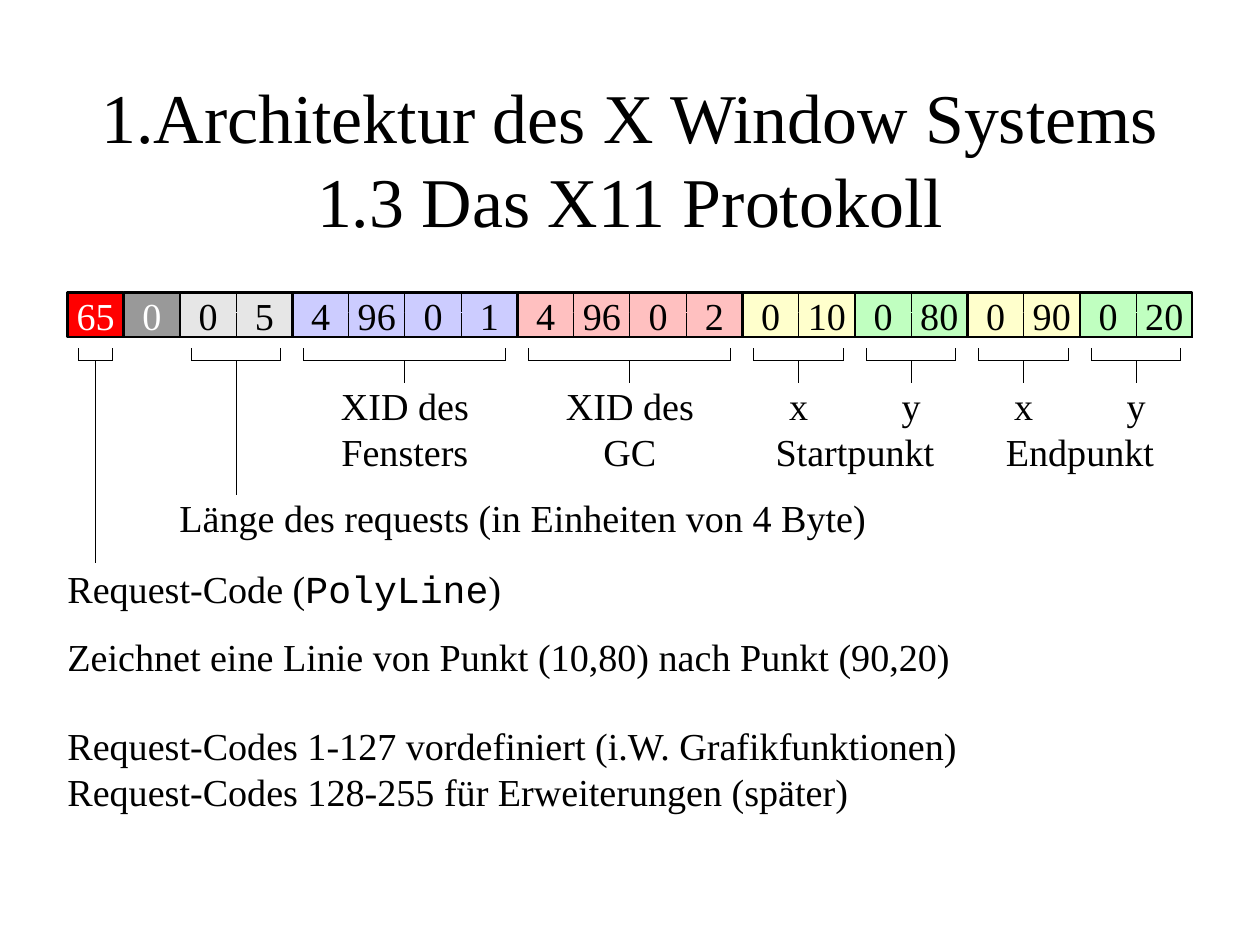
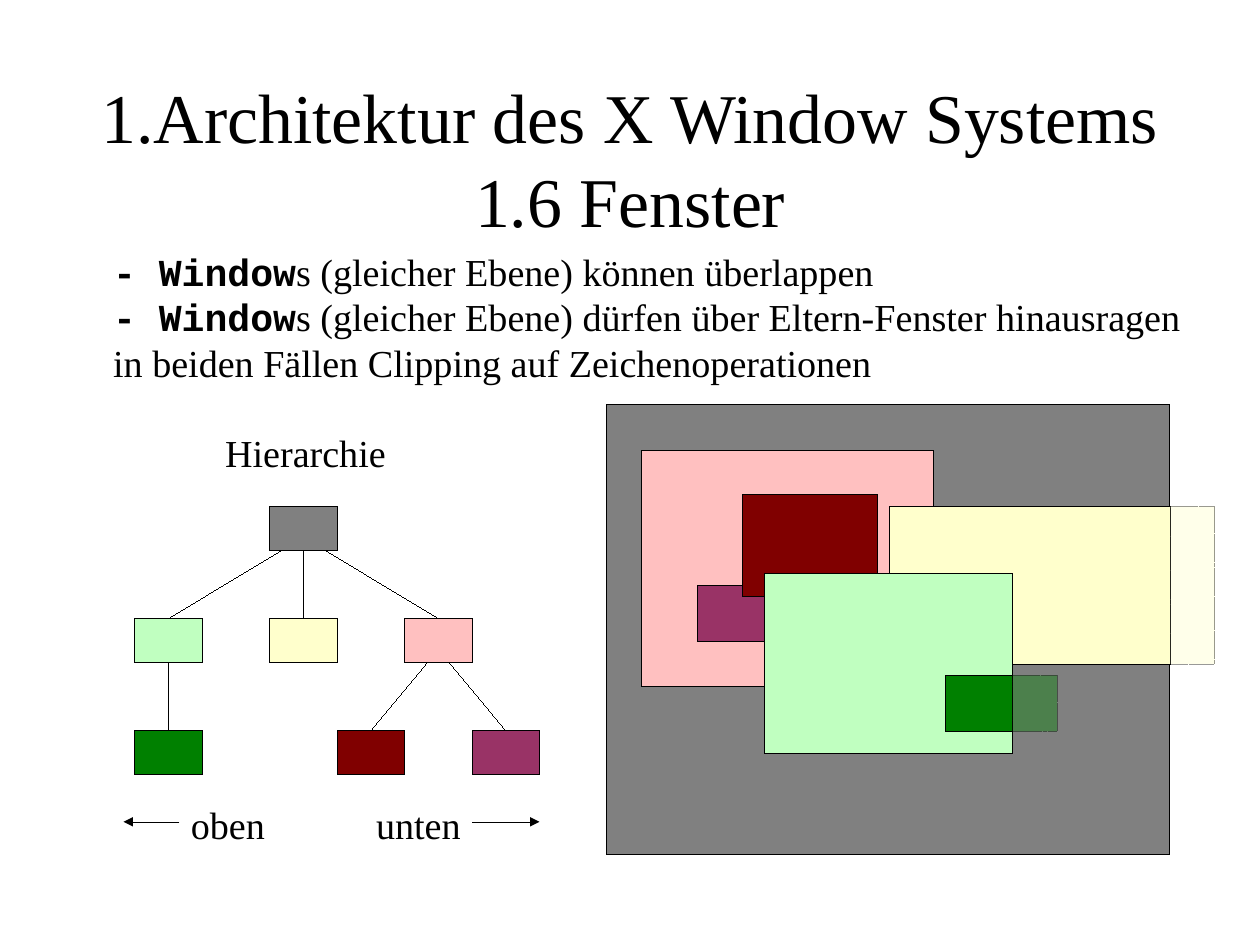
from lxml import etree
from pptx import Presentation
from pptx import util as u
from pptx.dml.color import RGBColor
from pptx.enum import dml, shapes, text
from pptx.oxml.ns import qn

BLACK = RGBColor(0x00, 0x00, 0x00)
WHITE = RGBColor(0xFF, 0xFF, 0xFF)
RED = RGBColor(0xFF, 0x00, 0x00)
MID_GREY = RGBColor(0x99, 0x99, 0x99)
PALE_GREY = RGBColor(0xE6, 0xE6, 0xE6)
LILAC = RGBColor(0xCC, 0xCC, 0xFF)
PINK = RGBColor(0xFF, 0xC0, 0xC0)
CREAM = RGBColor(0xFF, 0xFF, 0xCC)
MINT = RGBColor(0xC0, 0xFF, 0xC0)
GREY = RGBColor(0x80, 0x80, 0x80)
PLUM = RGBColor(0x99, 0x33, 0x66)
MAROON = RGBColor(0x80, 0x00, 0x00)
GREEN = RGBColor(0x00, 0x80, 0x00)

SERIF = {"name": "Times New Roman", "size": u.Pt(24), "bold": False}
MONO = {**SERIF, "name": "Courier New"}
MONO_BOLD = {**MONO, "bold": True}
TITLE = {**SERIF, "size": u.Pt(44)}
CENTER, LEFT = text.PP_ALIGN.CENTER, text.PP_ALIGN.LEFT
PAGE_W, PAGE_H = 28 / 2.54, 21 / 2.54  # 28 by 21 centimetres
CHAPTER = "1.Architektur des X Window Systems"

# Slide 1: request fields as (bytes, fill, text colour, label, stem end)
FIELDS = [
    ([65], RED, WHITE, "", 4.92),
    ([0], MID_GREY, WHITE, "", None),
    ([0, 5], PALE_GREY, BLACK, "", 4.33),
    ([4, 96, 0, 1], LILAC, BLACK, "XID des\nFensters", 3.35),
    ([4, 96, 0, 2], PINK, BLACK, "XID des\nGC", 3.35),
    ([0, 10], CREAM, BLACK, "x", 3.35),
    ([0, 80], MINT, BLACK, "y", 3.35),
    ([0, 90], CREAM, BLACK, "x", 3.35),
    ([0, 20], MINT, BLACK, "y", 3.35),
]
POINTS = [("Startpunkt", 12), ("Endpunkt", 16)]  # label, first byte
NOTES = [  # left, top, height, text
    (1.57, 4.33, 0.37, "Länge des requests (in Einheiten von 4 Byte)"),
    (0.59, 4.95, 0.41, [("Request-Code (", SERIF), ("PolyLine", MONO), (")", SERIF)]),
    (0.59, 5.54, 0.37, "Zeichnet eine Linie von Punkt (10,80) nach Punkt (90,20)"),
    (0.59, 6.32, 0.74, "Request-Codes 1-127 vordefiniert (i.W. Grafikfunktionen)\n"
                       "Request-Codes 128-255 für Erweiterungen (später)"),
]
BYTE_LEFT, BYTE_TOP, BYTE_W, BYTE_H = 0.59, 2.56, 1.25 / 2.54, 0.39
BRACKET_TOP, BRACKET_H, INSET = 3.05, 0.1, 0.1

# Slide 2: statements, overlapping windows and their hierarchy
STATEMENTS = [
    [("- Window", MONO_BOLD), ("s (gleicher Ebene) können überlappen", SERIF)],
    [("- Window", MONO_BOLD),
     ("s (gleicher Ebene) dürfen über Eltern-Fenster hinausragen", SERIF)],
    "in beiden Fällen Clipping auf Zeichenoperationen",
]
WINDOWS = [  # left, top, width, height, fill, clipped
    (5.31, 3.54, 4.92, 3.94, GREY, False),
    (5.61, 3.94, 2.56, 2.07, PINK, False),
    (7.78, 4.43, 2.46, 1.38, CREAM, False),
    (6.1, 5.12, 0.98, 0.49, PLUM, False),
    (6.5, 4.33, 1.18, 0.89, MAROON, False),
    (6.69, 5.02, 2.17, 1.57, MINT, False),
    (8.27, 5.91, 0.59, 0.49, GREEN, False),
    (10.24, 4.43, 0.39, 1.38, CREAM, True),
    (8.86, 5.91, 0.39, 0.49, GREEN, True),
]
NODES = {  # fill: (column, level)
    GREY: (2, 0), MINT: (0, 1), CREAM: (2, 1), PINK: (4, 1),
    GREEN: (0, 2), MAROON: (3, 2), PLUM: (5, 2),
}
CHILDREN = {  # parent: (child, shift of the line's start)
    GREY: [(MINT, -0.2), (CREAM, 0), (PINK, 0.2)],
    MINT: [(GREEN, 0)],
    PINK: [(MAROON, -0.1), (PLUM, 0.1)],
}
NODE_LEFT, NODE_TOP, NODE_W, NODE_H, LEVEL_STEP = 1.18, 4.43, 0.59, 0.39, 0.98
TREE_LABELS = [  # label, left, top, width
    ("Hierarchie", 1.97, 3.76, 1.5),
    ("oben", 1.67, 7.01, 0.8),
    ("unten", 3.29, 7.01, 0.8),
]
ARROWS = [(1.57, 1.08), (4.13, 4.72)]
ARROW_Y = 7.19


def inches(*lengths):
    return [u.Inches(length) for length in lengths]


def write(shape, paras, style=SERIF, color=BLACK, align=LEFT, middle=False):
    """Fill a shape with paragraphs, each a string or a list of (text, style)."""
    frame = shape.text_frame
    frame.word_wrap = True
    frame.vertical_anchor = text.MSO_ANCHOR.MIDDLE if middle else text.MSO_ANCHOR.TOP
    for side in ("left", "right", "top", "bottom"):
        setattr(frame, "margin_" + side, 0)
    for index, content in enumerate(paras):
        para = frame.paragraphs[0] if index == 0 else frame.add_paragraph()
        para.alignment = align
        for words, look in [(content, style)] if isinstance(content, str) else content:
            for number, line in enumerate(words.split("\n")):
                if number:
                    para.add_line_break()
                span = para.add_run()
                span.text = line
                for key, value in look.items():
                    setattr(span.font, key, value)
                span.font.color.rgb = color


def add_text(page, place, paras, **options):
    write(page.shapes.add_textbox(*inches(*place)), paras, **options)


def outline(shape, width=0, dashed=False):
    shape.line.color.rgb = BLACK
    if dashed:
        shape.line.dash_style = dml.MSO_LINE.SQUARE_DOT
    # A zero width must be written out to become a hairline
    shape._element.spPr.find(qn("a:ln")).set("w", str(int(u.Pt(width))))


def add_rect(page, place, fill=None, width=0, dashed=False):
    rect = page.shapes.add_shape(shapes.MSO_SHAPE.RECTANGLE, *inches(*place))
    rect.shadow.inherit = False
    if fill is None:
        rect.fill.background()
    else:
        rect.fill.solid()
        rect.fill.fore_color.rgb = fill
    outline(rect, width, dashed)
    return rect


def add_line(page, x1, y1, x2, y2, arrow=False):
    line = page.shapes.add_connector(
        shapes.MSO_CONNECTOR.STRAIGHT, *inches(x1, y1, x2, y2))
    outline(line)
    props = line._element.spPr
    if arrow:
        etree.SubElement(props.find(qn("a:ln")), qn("a:tailEnd"), type="triangle")
    etree.SubElement(props, qn("a:effectLst"))
    return line


def fade(shape, percent):
    for color in shape._element.spPr.iter(qn("a:srgbClr")):
        etree.SubElement(color, qn("a:alpha"), val=str(percent * 1000))


def add_bracket(page, left, right):
    low = BRACKET_TOP + BRACKET_H
    start, *rest = [tuple(inches(*point)) for point in (
        (left, BRACKET_TOP), (left, low), (right, low), (right, BRACKET_TOP))]
    builder = page.shapes.build_freeform(*start)
    builder.add_line_segments(rest, close=False)
    bracket = builder.convert_to_shape()
    bracket.shadow.inherit = False
    bracket.fill.background()
    outline(bracket)


def add_page(deck, heading):
    page = deck.slides.add_slide(deck.slide_layouts[6])
    add_text(page, (0.81, 0.69, 9.41, 1.38), [CHAPTER + "\n" + heading],
             style=TITLE, align=CENTER, middle=True)
    return page


def protocol_page(deck):
    page = add_page(deck, "1.3 Das X11 Protokoll")
    frames, first = [], 0
    for values, fill, color, label, stem_end in FIELDS:
        left = BYTE_LEFT + first * BYTE_W
        width = len(values) * BYTE_W
        # Byte cells
        for index, value in enumerate(values):
            cell = add_rect(page, (left + index * BYTE_W, BYTE_TOP, BYTE_W, BYTE_H),
                            fill, dashed=True)
            write(cell, [str(value)], color=color, align=CENTER, middle=True)
        frames.append((left, BYTE_TOP, width, BYTE_H))
        # Bracket, stem and label
        if stem_end:
            add_bracket(page, left + INSET, left + width - INSET)
            middle = left + width / 2
            add_line(page, middle, BRACKET_TOP + BRACKET_H, middle, stem_end)
        if label:
            height = 0.37 * (1 + label.count("\n"))
            add_text(page, (left + INSET, stem_end, width - 2 * INSET, height),
                     [label], align=CENTER)
        first += len(values)
    for place in frames:
        add_rect(page, place, width=1.42)
    for name, start in POINTS:
        add_text(page, (BYTE_LEFT + start * BYTE_W, 3.76, 4 * BYTE_W, 0.37), [name],
                 align=CENTER, middle=True)
    for left, top, height, note in NOTES:
        add_text(page, (left, top, 8.56, height), [note])


def window_page(deck):
    page = add_page(deck, "1.6 Fenster")
    add_text(page, (0.99, 2.17, 9.5, 4.82), STATEMENTS)
    # Overlapping windows
    for *place, fill, clipped in WINDOWS:
        window = add_rect(page, place, fill, dashed=clipped)
        if clipped:
            fade(window, 40)
    # Hierarchy
    nodes = {}
    for fill, (column, level) in NODES.items():
        nodes[fill] = add_rect(page, (NODE_LEFT + column * NODE_W,
                                      NODE_TOP + level * LEVEL_STEP,
                                      NODE_W, NODE_H), fill)
    for parent, links in CHILDREN.items():
        column, level = NODES[parent]
        x = NODE_LEFT + (column + 0.5) * NODE_W
        y = NODE_TOP + level * LEVEL_STEP + NODE_H
        for child, shift in links:
            branch = add_line(page, x + shift, y, x, y + LEVEL_STEP - NODE_H)
            if shift == 0:
                branch.begin_connect(nodes[parent], 2)
            branch.end_connect(nodes[child], 0)
    for label, left, top, width in TREE_LABELS:
        add_text(page, (left, top, width, 0.37), [label])
    for start, end in ARROWS:
        add_line(page, start, ARROW_Y, end, ARROW_Y, arrow=True)


def main():
    deck = Presentation()
    deck.slide_width, deck.slide_height = inches(PAGE_W, PAGE_H)
    protocol_page(deck)
    window_page(deck)
    deck.save("out.pptx")


if __name__ == "__main__":
    main()
